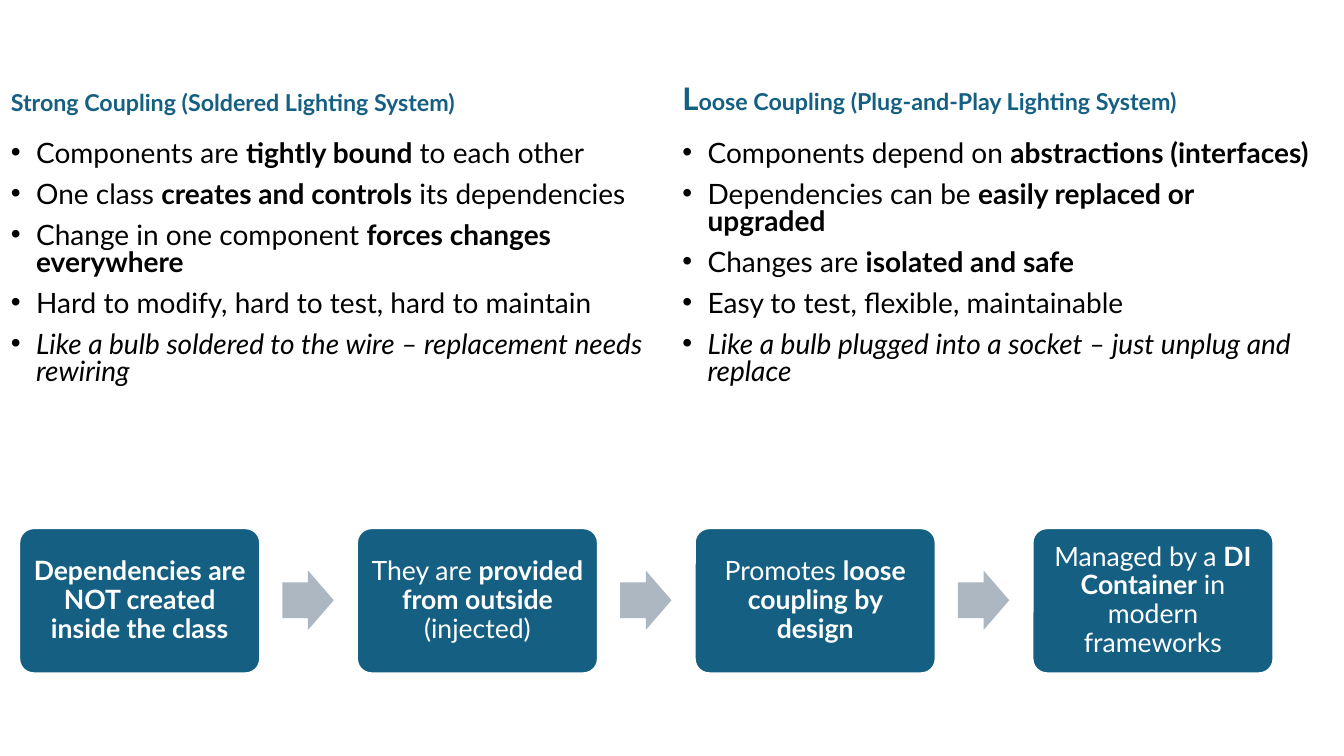
from dataclasses import dataclass
from typing import Any, NamedTuple

from lxml.etree import SubElement
from pptx import Presentation
from pptx.dml.color import RGBColor
from pptx.enum.shapes import MSO_SHAPE
from pptx.enum.text import MSO_ANCHOR, PP_ALIGN
from pptx.oxml.ns import qn
from pptx.util import Emu, Pt

EMU_PER_PX = 9144


@dataclass(frozen=True)
class Theme:
    font: str = "Lato"
    teal: RGBColor = RGBColor(0x15, 0x60, 0x82)
    arrow: RGBColor = RGBColor(0xAC, 0xB7, 0xC1)
    black: RGBColor = RGBColor(0, 0, 0)
    white: RGBColor = RGBColor(255, 255, 255)
    heading: float = 16.6
    initial: float = 22.2
    point: float = 20
    step: float = 19


class Box(NamedTuple):
    left: int
    top: int
    width: int
    height: int


class Run(NamedTuple):
    text: str
    bold: bool = False
    italic: bool = False
    size: float | None = None


@dataclass(frozen=True)
class Column:
    heading_box: Box
    heading: list[Run]
    points_box: Box
    points: list[list[Run]]


THEME = Theme()

COLUMNS = [
    Column(
        Box(1, 74, 564, 46),
        [Run("Strong Coupling (Soldered Lighting System)", True)],
        Box(1, 136, 666, 272),
        [
            [Run("Components are "), Run("tightly bound", True), Run(" to each other")],
            [Run("One class "), Run("creates and controls", True), Run(" its dependencies")],
            [Run("Change in one component "), Run("forces changes everywhere", True)],
            [Run("Hard to modify, hard to test, hard to maintain")],
            [Run("Like a bulb soldered to the wire – replacement needs rewiring", italic=True)],
        ],
    ),
    Column(
        Box(667, 79, 557, 41),
        [
            Run("L", True, size=THEME.initial),
            Run("oose Coupling (Plug-and-Play Lighting System)", True),
        ],
        Box(667, 136, 650, 272),
        [
            [Run("Components depend on "), Run("abstractions (interfaces)", True)],
            [Run("Dependencies can be "), Run("easily replaced or upgraded", True)],
            [Run("Changes are "), Run("isolated and safe", True)],
            [Run("Easy to test, flexible, maintainable")],
            [Run("Like a bulb plugged into a socket – just unplug and replace", italic=True)],
        ],
    ),
]

STEPS = [
    [Run("Dependencies are NOT created inside the class", True)],
    [Run("They are "), Run("provided from outside", True), Run(" (injected)")],
    [Run("Promotes "), Run("loose coupling by design", True)],
    [Run("Managed by a "), Run("DI Container", True), Run(" in modern frameworks")],
]
FIRST_STEP = Box(19, 524, 239, 144)
FIRST_ARROW = Box(280, 566, 51, 59)
STEP_PITCH = 335

COLUMN_SPACING = {"line_spacing": 0.8, "space_before": Pt(10)}
STEP_SPACING = {"line_spacing": 0.9, "alignment": PP_ALIGN.CENTER}


def px(length: int) -> Emu:
    return Emu(length * EMU_PER_PX)


def place(box: Box) -> list[Emu]:
    return [px(length) for length in box]


def apply(target: Any, values: dict[str, Any]) -> None:
    for attribute, value in values.items():
        setattr(target, attribute, value)


def write(paragraph: Any, runs: list[Run], size: float, color: RGBColor,
          spacing: dict[str, Any]) -> None:
    apply(paragraph, spacing)
    for run in runs:
        piece = paragraph.add_run()
        piece.text = run.text
        apply(piece.font, {
            "name": THEME.font,
            "size": Pt(run.size or size),
            "bold": run.bold,
            "italic": run.italic,
        })
        piece.font.color.rgb = color


def add_bullet(paragraph: Any) -> None:
    properties = paragraph._p.get_or_add_pPr()
    properties.set("marL", str(px(25)))
    properties.set("indent", str(px(-25)))
    SubElement(properties, qn("a:buFont"), typeface="Arial")
    SubElement(properties, qn("a:buChar"), char="•")


def add_frame(slide: Any, box: Box, anchor: MSO_ANCHOR) -> Any:
    frame = slide.shapes.add_textbox(*place(box)).text_frame
    apply(frame, {"word_wrap": True, "vertical_anchor": anchor})
    return frame


def draw_column(slide: Any, column: Column) -> None:
    heading = add_frame(slide, column.heading_box, MSO_ANCHOR.BOTTOM)
    write(heading.paragraphs[0], column.heading, THEME.heading, THEME.teal, COLUMN_SPACING)
    points = add_frame(slide, column.points_box, MSO_ANCHOR.TOP)
    for index, runs in enumerate(column.points):
        paragraph = points.add_paragraph() if index else points.paragraphs[0]
        write(paragraph, runs, THEME.point, THEME.black, COLUMN_SPACING)
        add_bullet(paragraph)


def add_block(slide: Any, kind: MSO_SHAPE, box: Box, fill: RGBColor,
              adjustments: list[float]) -> Any:
    block = slide.shapes.add_shape(kind, *place(box))
    block.shadow.inherit = False
    block.fill.solid()
    block.fill.fore_color.rgb = fill
    block.line.fill.background()
    for index, value in enumerate(adjustments):
        block.adjustments[index] = value
    return block


def draw_step(slide: Any, index: int, runs: list[Run]) -> None:
    shift = index * STEP_PITCH
    box = FIRST_STEP._replace(left=FIRST_STEP.left + shift)
    step = add_block(slide, MSO_SHAPE.ROUNDED_RECTANGLE, box, THEME.teal, [0.1])
    step.line.color.rgb = THEME.white
    step.line.width = Pt(1.5)
    margins = {f"margin_{side}": px(8) for side in ("left", "top", "right", "bottom")}
    apply(step.text_frame, margins | {
        "word_wrap": True,
        "vertical_anchor": MSO_ANCHOR.MIDDLE,
    })
    write(step.text_frame.paragraphs[0], runs, THEME.step, THEME.white, STEP_SPACING)
    if index < len(STEPS) - 1:
        arrow_box = FIRST_ARROW._replace(left=FIRST_ARROW.left + shift)
        add_block(slide, MSO_SHAPE.RIGHT_ARROW, arrow_box, THEME.arrow, [0.6, 0.5])


def main() -> None:
    deck = Presentation()
    apply(deck, {"slide_width": px(1333), "slide_height": px(750)})
    slide = deck.slides.add_slide(deck.slide_layouts[6])
    for column in COLUMNS:
        draw_column(slide, column)
    for index, runs in enumerate(STEPS):
        draw_step(slide, index, runs)
    deck.save("out.pptx")


if __name__ == "__main__":
    main()
